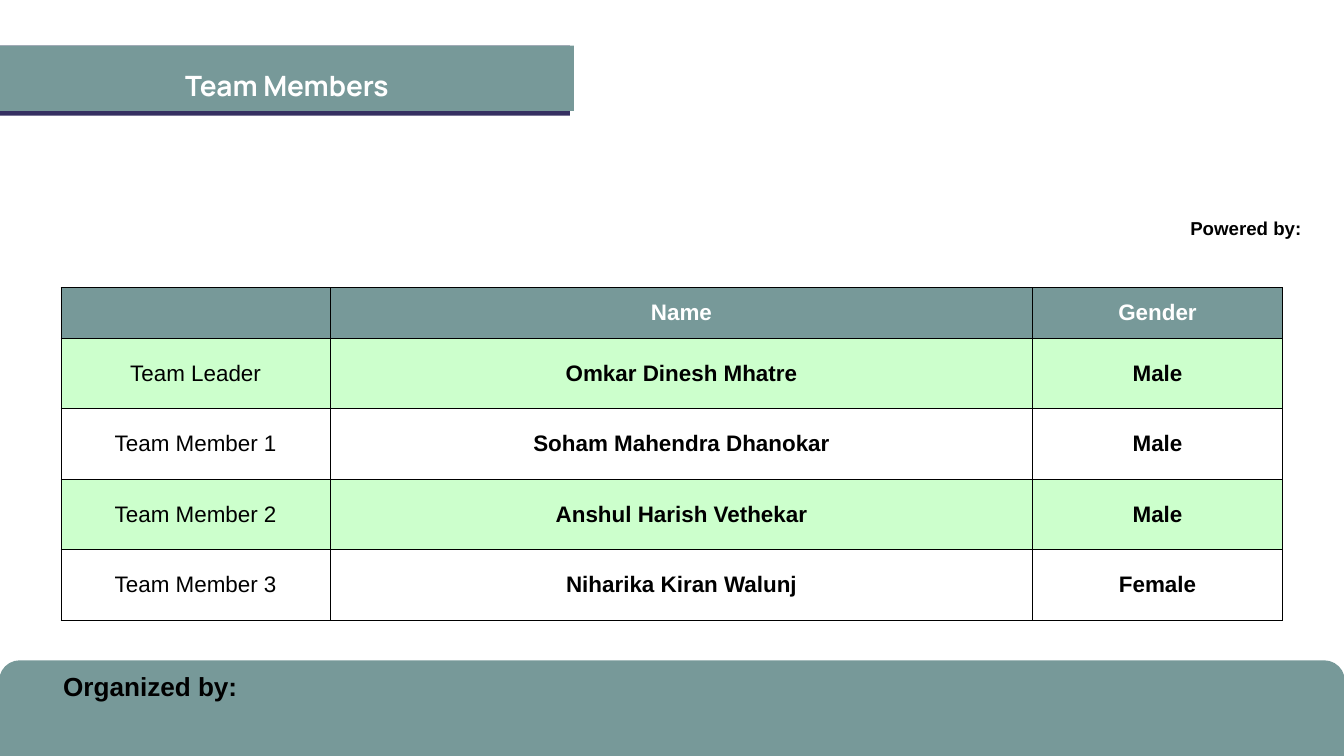
import pptx
import pptx.util
import pptx.oxml
import pptx.oxml.ns
import pptx.dml.color
import pptx.enum.shapes
import pptx.enum.text

Inches = pptx.util.Inches
Pt = pptx.util.Pt
Shape = pptx.enum.shapes.MSO_SHAPE
Align = pptx.enum.text.PP_ALIGN
Anchor = pptx.enum.text.MSO_ANCHOR
Fit = pptx.enum.text.MSO_AUTO_SIZE

# Content
TITLE = "Team Members"
LABELS = [  # text, box, size key
    ("Powered by:", (17.08, 3.18, 2.92, 0.5), "note"),
    ("Organized by:", (0.79, 9.92, 2.89, 0.57), "foot"),
]
ROWS = [
    ("", "Name", "Gender"),
    ("Team Leader", "Omkar Dinesh Mhatre", "Male"),
    ("Team Member 1", "Soham Mahendra Dhanokar", "Male"),
    ("Team Member 2", "Anshul Harish Vethekar", "Male"),
    ("Team Member 3", "Niharika Kiran Walunj", "Female"),
]

# Theme and layout
THEME = {
    "teal": "779999", "navy": "363062", "mint": "CCFFCC",
    "white": "FFFFFF", "black": "000000",
    "head": "Manrope", "body": "Arial",
    "title": 30, "foot": 28, "cell": 24, "note": 20,
}
COLS = (4, 10.46, 3.71)
HEAD_H, ROW_H = 0.75, 1.05
GRID = (0.91, 4.28, sum(COLS), HEAD_H + ROW_H * (len(ROWS) - 1))
TAB = (0, 0.68, 8.54, 0.97)
SHADE = (0, 0.68, 8.48, 1.04)
FOOTER = (0, 9.84, 20, 2.45)


def lengths(box):
    return [Inches(v) for v in box]


def rgb(key):
    return pptx.dml.color.RGBColor.from_string(THEME[key])


def paint(item, key):
    item.fill.solid()
    item.fill.fore_color.rgb = rgb(key)


def write(frame, text, size, color="black", bold=True, face="body"):
    frame.text = text
    para = frame.paragraphs[0]
    para.alignment = Align.CENTER
    for run in para.runs:
        run.font.name = THEME[face]
        run.font.size = Pt(THEME[size])
        run.font.bold = bold
        run.font.color.rgb = rgb(color)
    return para


def add_panel(shapes, kind, box, key):
    panel = shapes.add_shape(kind, *lengths(box))
    panel.shadow.inherit = False
    paint(panel, key)
    panel.line.fill.background()
    return panel


def add_edges(cell, key="black", width=1):
    props = cell._tc.get_or_add_tcPr()
    for spot, side in enumerate(("lnL", "lnR", "lnT", "lnB")):
        edge = pptx.oxml.parse_xml(
            f'<a:{side} {pptx.oxml.ns.nsdecls("a")} w="{Pt(width)}">'
            f'<a:solidFill><a:srgbClr val="{THEME[key]}"/></a:solidFill></a:{side}>')
        props.insert(spot, edge)


def add_grid(shapes):
    table = shapes.add_table(len(ROWS), len(COLS), *lengths(GRID)).table
    table.horz_banding = False
    for col, width in zip(table.columns, COLS):
        col.width = Inches(width)
    for r, texts in enumerate(ROWS):
        table.rows[r].height = Inches(ROW_H if r else HEAD_H)
        fill = "teal" if r == 0 else "mint" if r % 2 else "white"
        for c, text in enumerate(texts):
            cell = table.cell(r, c)
            cell.vertical_anchor = Anchor.MIDDLE
            paint(cell, fill)
            add_edges(cell)
            write(cell.text_frame, text, "cell",
                  "black" if r else "white", r == 0 or c > 0)


def add_title(shapes):
    title = shapes.title
    title.left, title.top, title.width, title.height = lengths(TAB)
    paint(title, "teal")
    frame = title.text_frame
    frame.auto_size = Fit.NONE
    frame.vertical_anchor = Anchor.MIDDLE
    frame.margin_left = frame.margin_right = Inches(0.06)
    frame.margin_top = frame.margin_bottom = Inches(0.06)
    write(frame, TITLE, "title", "white", face="head").line_spacing = 1.4
    shapes.element.append(title.element)  # in front of its shade


def main():
    deck = pptx.Presentation()
    deck.slide_width, deck.slide_height = Inches(20), Inches(11.25)
    shapes = deck.slides.add_slide(deck.slide_layouts[5]).shapes

    # Footer band and labels
    band = add_panel(shapes, Shape.ROUNDED_RECTANGLE, FOOTER, "teal")
    band.adjustments[0] = 0.12
    band.line.color.rgb = rgb("teal")
    band.line.width = Pt(2)
    for text, box, size in LABELS:
        frame = shapes.add_textbox(*lengths(box)).text_frame
        frame.word_wrap = True
        frame.auto_size = Fit.SHAPE_TO_FIT_TEXT
        write(frame, text, size)

    # Team table
    add_grid(shapes)

    # Title tab over its shade
    add_panel(shapes, Shape.RECTANGLE, SHADE, "navy")
    add_title(shapes)

    deck.save("out.pptx")


if __name__ == "__main__":
    main()
